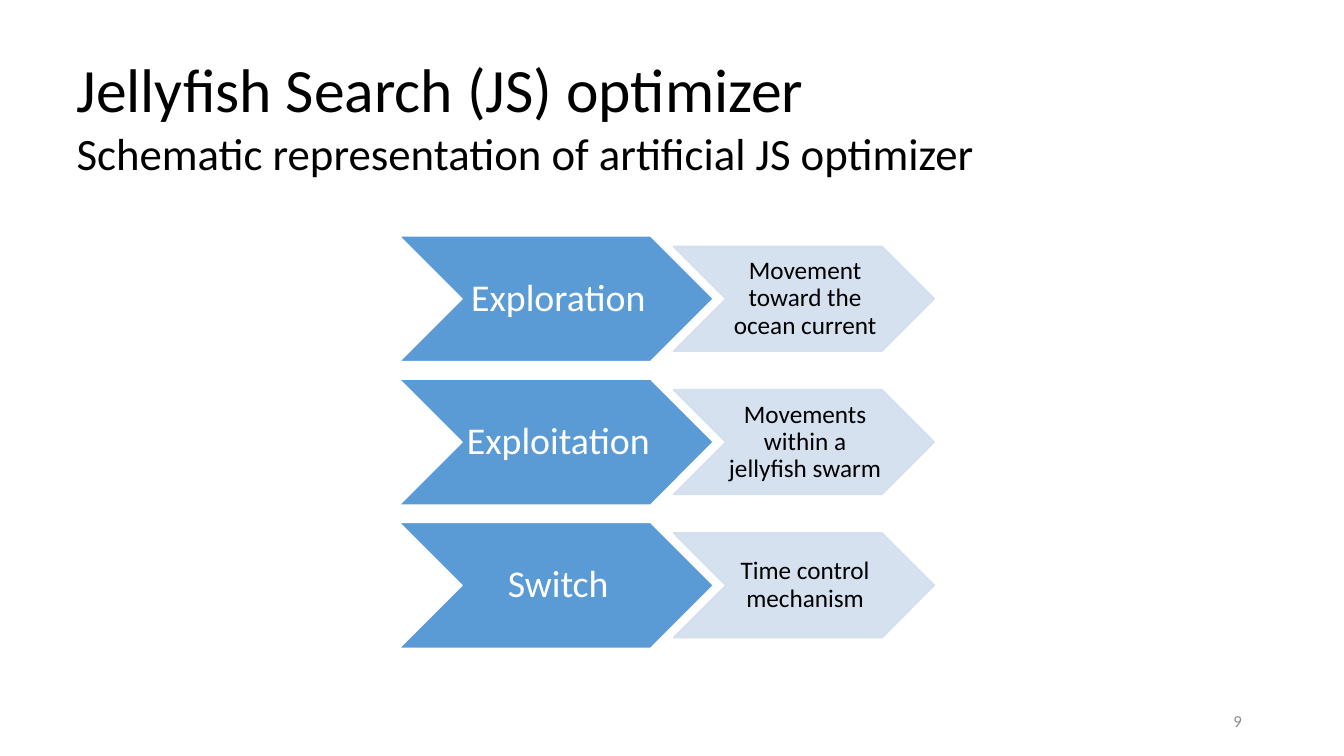
from lxml import etree
from pptx import Presentation
from pptx.dml.color import RGBColor
from pptx.enum.shapes import MSO_SHAPE
from pptx.enum.text import MSO_ANCHOR, PP_ALIGN
from pptx.oxml.ns import qn
from pptx.util import Cm, Pt

CHEVRON = MSO_SHAPE.CHEVRON
TOP, MIDDLE = MSO_ANCHOR.TOP, MSO_ANCHOR.MIDDLE
LEFT, CENTER, RIGHT = PP_ALIGN.LEFT, PP_ALIGN.CENTER, PP_ALIGN.RIGHT

PHASES = [
    ("Exploration", "Movement toward the ocean current"),
    ("Exploitation", "Movements within a jellyfish swarm"),
    ("Switch", "Time control mechanism"),
]
FIRST_CENTER, ROW_PITCH = 7.53, 3.61


def rgb(color):
    """Turn a hex string into a colour."""
    return RGBColor.from_string(color)


def write(p, text, size=18, color="000000", align=LEFT, spacing=1.0):
    """Put formatted text into a paragraph."""
    p.alignment = align
    p.line_spacing = spacing
    r = p.add_run()
    r.text = text
    r.font.name = "Calibri"
    r.font.size = Pt(size)
    r.font.color.rgb = rgb(color)


def add_text_box(s, left, top, width, height, anchor=TOP):
    """Add a wrapping text box and return its text frame."""
    tf = s.shapes.add_textbox(Cm(left), Cm(top), Cm(width), Cm(height)).text_frame
    tf.word_wrap = True
    tf.vertical_anchor = anchor
    return tf


def set_opacity(sp, percent):
    """Make the fill and the line of a shape partly transparent."""
    for color in sp.fill._xPr.iter(qn("a:srgbClr")):
        etree.SubElement(color, qn("a:alpha")).set("val", str(percent * 1000))


def add_chevron(s, text, left, middle, width, height, fill, line, inset, **fmt):
    """Add a labelled chevron centred on a height."""
    sp = s.shapes.add_shape(CHEVRON, Cm(left), Cm(middle - height / 2), Cm(width), Cm(height))
    sp.shadow.inherit = False
    sp.fill.solid()
    sp.fill.fore_color.rgb = rgb(fill)
    sp.line.color.rgb = rgb(line)
    sp.line.width = Pt(1)
    tf = sp.text_frame
    tf.word_wrap = True
    tf.vertical_anchor = MIDDLE
    tf.margin_left, tf.margin_right = Cm(inset), 0
    tf.margin_top = tf.margin_bottom = Cm(inset / 2)
    write(tf.paragraphs[0], text, align=CENTER, spacing=0.9, **fmt)
    return sp


def add_phase(s, middle, phase, movement):
    """Add one row: a phase and the movement behind it."""
    add_chevron(s, phase, 10.06, middle, 7.92, 3.17, "5B9BD5", "FFFFFF", 0.1,
                size=27, color="FFFFFF")
    sp = add_chevron(s, movement, 16.97, middle, 6.58, 2.64, "D2DEEF", "D2DEEF", 0.06)
    set_opacity(sp, 90)


def main():
    """Build the slide and save it."""
    prs = Presentation()
    prs.slide_width, prs.slide_height = Cm(33.87), Cm(19.05)
    s = prs.slides.add_slide(prs.slide_layouts[6])

    tf = add_text_box(s, 1.68, 1.17, 27.05, 3.5)
    write(tf.paragraphs[0], "Jellyfish Search (JS) optimizer", size=44)
    write(tf.add_paragraph(), "Schematic representation of artificial JS optimizer", size=32)

    for i, (phase, movement) in enumerate(PHASES):
        add_phase(s, FIRST_CENTER + i * ROW_PITCH, phase, movement)

    tf = add_text_box(s, 23.93, 17.65, 7.62, 1.02, anchor=MIDDLE)
    write(tf.paragraphs[0], "9", size=12, color="8C8C8C", align=RIGHT)
    prs.save("out.pptx")


if __name__ == "__main__":
    main()
